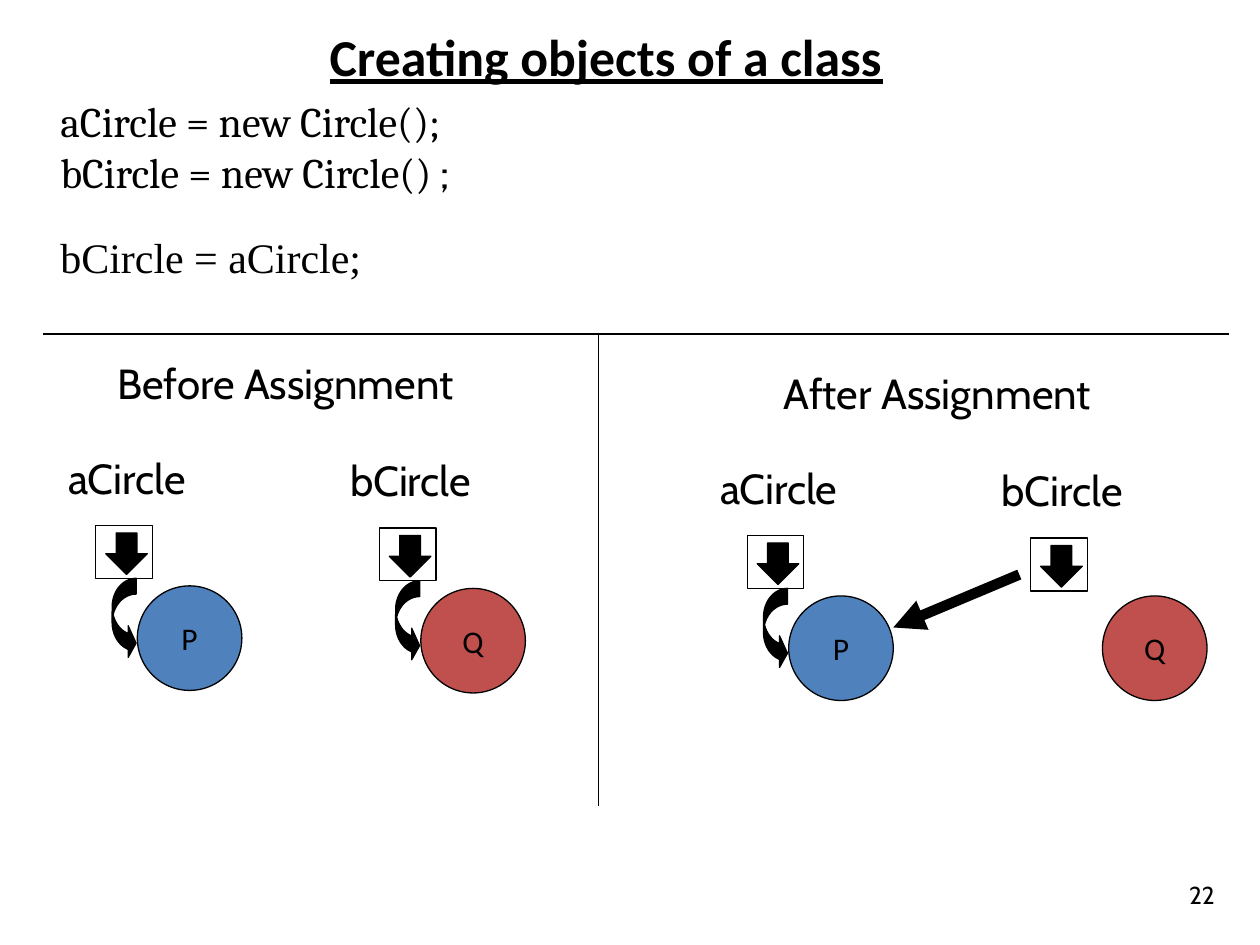
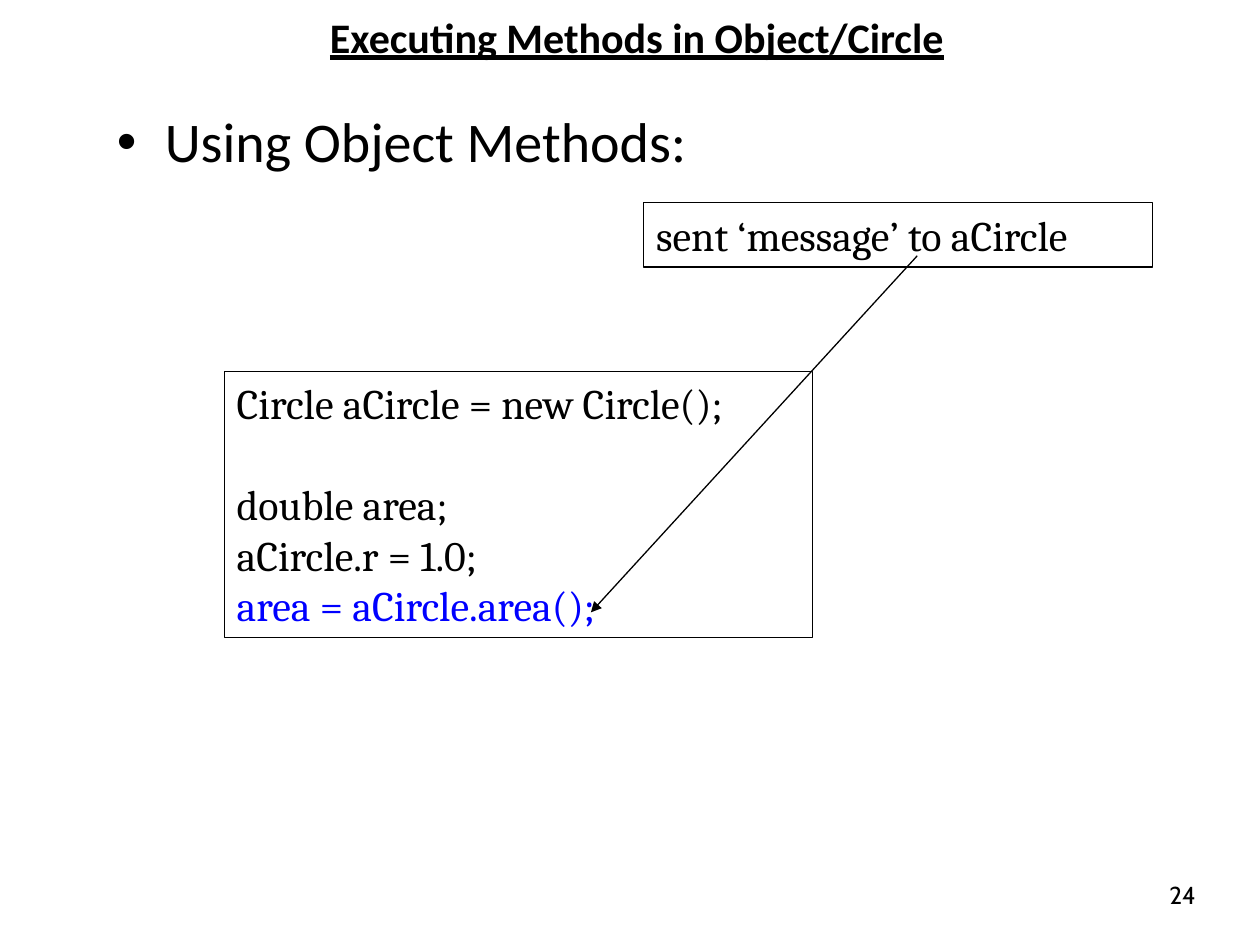
from pptx import Presentation
from pptx.dml.color import RGBColor
from pptx.enum.shapes import MSO_CONNECTOR, MSO_SHAPE
from pptx.enum.text import MSO_ANCHOR, PP_ALIGN
from pptx.oxml.ns import qn
from pptx.util import Inches, Pt
from lxml.etree import SubElement

BLACK = RGBColor(0, 0, 0)
WHITE = RGBColor(255, 255, 255)
BLUE = RGBColor(0x4F, 0x81, 0xBD)
RED = RGBColor(0xC0, 0x50, 0x4D)
CALL = RGBColor(0, 0, 255)
LEFT, MID, RIGHT = PP_ALIGN.LEFT, PP_ALIGN.CENTER, PP_ALIGN.RIGHT


def form(slide, kind, x, y, w, h, fill=None):
    shape = slide.shapes.add_shape(kind, Inches(x), Inches(y), Inches(w), Inches(h))
    shape.shadow.inherit = False
    if fill is None:
        shape.fill.background()
    else:
        shape.fill.solid()
        shape.fill.fore_color.rgb = fill
    shape.line.color.rgb = BLACK
    shape.line.width = Pt(0.75)
    return shape


def write(shape, text, font, size, align=LEFT, anchor=MSO_ANCHOR.TOP, wrap=True):
    frame = shape.text_frame
    frame.text = text
    frame.word_wrap = wrap
    frame.vertical_anchor = anchor
    for para in frame.paragraphs:
        para.alignment = align
        for run in para.runs:
            run.font.name = font
            run.font.size = Pt(size)
            run.font.color.rgb = BLACK
    return frame.paragraphs


deck = Presentation()
deck.slide_width = Inches(10)
deck.slide_height = Inches(7.5)

heads = [
    ("Creating objects of a class", 29.6, (0, 0.17, 9.62, 0.54), "22", 9.74),
    ("Executing Methods in Object/Circle", 24, (0.92, 0.06, 8.27, 0.46), "24", 9.59),
]
for title, size, place, page, edge in heads:
    slide = deck.slides.add_slide(deck.slide_layouts[6])
    box = slide.shapes.add_textbox(*map(Inches, place))
    font = write(box, title, "Calibri", size, MID, MSO_ANCHOR.MIDDLE)[0].runs[0].font
    font.bold = font.underline = True
    box = slide.shapes.add_textbox(Inches(edge - 0.64), Inches(6.9), Inches(0.64), Inches(0.4))
    write(box, page, "Cabin", 14, RIGHT, MSO_ANCHOR.MIDDLE)
make, send = deck.slides

box = make.shapes.add_textbox(Inches(0.38), Inches(0.71), Inches(7.92), Inches(1.58))
code = "aCircle = new Circle();\nbCircle = new Circle() \nbCircle = aCircle;"
lines = write(box, code, "Cambria", 24)
mark = lines[1].add_run()
mark.text = ";"
mark.font.name = "Cabin"
mark.font.size = Pt(24)
mark.font.color.rgb = BLACK
lines[2].space_before = Pt(20)
lines[2].runs[0].font.name = "Times New Roman"

objects = [
    (0.76, 4.17, "aCircle", "P", BLUE, True),
    (3.01, 4.19, "bCircle", "Q", RED, True),
    (5.93, 4.25, "aCircle", "P", BLUE, True),
    (8.18, 4.27, "bCircle", "Q", RED, False),
]
labels = [(0.79, 2.79, 2.95, "Before Assignment"), (6.07, 2.87, 2.74, "After Assignment")]
for x, y, name, letter, fill, bound in objects:
    form(make, MSO_SHAPE.RECTANGLE, x, y, 0.45, 0.42, WHITE)
    if bound:
        curve = form(make, MSO_SHAPE.CURVED_RIGHT_ARROW, x + 0.13, y + 0.42, 0.19, 0.64, BLACK)
        for i, value in enumerate((0.66, 1.32, 0.33)):
            curve.adjustments[i] = value
    shift, drop = (0.33, 0.48) if bound else (0.57, 0.46)
    ball = form(make, MSO_SHAPE.OVAL, x + shift, y + drop, 0.83, 0.83, fill)
    write(ball, letter, "Calibri", 18, MID, MSO_ANCHOR.MIDDLE, False)
    form(make, MSO_SHAPE.DOWN_ARROW, x + 0.08, y + 0.06, 0.33, 0.33, BLACK)
    labels.append((x - 0.34, y - 0.63, 1.18, name))

for x, y, w, text in labels:
    box = make.shapes.add_textbox(Inches(x), Inches(y), Inches(w), Inches(0.5))
    write(box, text, "Cabin", 24, MID, wrap=False)

box = send.shapes.add_textbox(Inches(0.83), Inches(0.8), Inches(8.5), Inches(0.7))
point = write(box, "Using Object Methods:", "Calibri", 32)[0]
props = point._p.get_or_add_pPr()
props.set("marL", str(Inches(0.38)))
props.set("indent", str(Inches(-0.38)))
SubElement(props, qn("a:buFont")).set("typeface", "Arial")
SubElement(props, qn("a:buChar")).set("char", "•")

box = form(send, MSO_SHAPE.RECTANGLE, 1.78, 2.95, 4.67, 2.11)
code = "Circle aCircle = new Circle();\ndouble area;\naCircle.r = 1.0;\narea = aCircle.area();"
lines = write(box, code, "Cambria", 24)
lines[1].space_before = Pt(28.8)
lines[3].runs[0].font.color.rgb = CALL
box = form(send, MSO_SHAPE.RECTANGLE, 5.11, 1.61, 4.04, 0.51)
write(box, "sent ‘message’ to aCircle", "Cambria", 24)

links = [
    (make, (8.09, 4.56, 7.09, 4.98), 6, True),
    (make, (4.75, 2.65, 4.75, 6.4), 0.75, False),
    (make, (0.34, 2.65, 9.75, 2.65), 0.75, False),
    (send, (7.28, 2.03, 4.69, 4.86), 0.75, True),
]
for slide, ends, width, tip in links:
    link = slide.shapes.add_connector(MSO_CONNECTOR.STRAIGHT, *map(Inches, ends))
    link.line.color.rgb = BLACK
    link.line.width = Pt(width)
    if tip:
        SubElement(link.line._get_or_add_ln(), qn("a:tailEnd")).set("type", "triangle")
    SubElement(link._element.spPr, qn("a:effectLst"))

deck.save("out.pptx")
